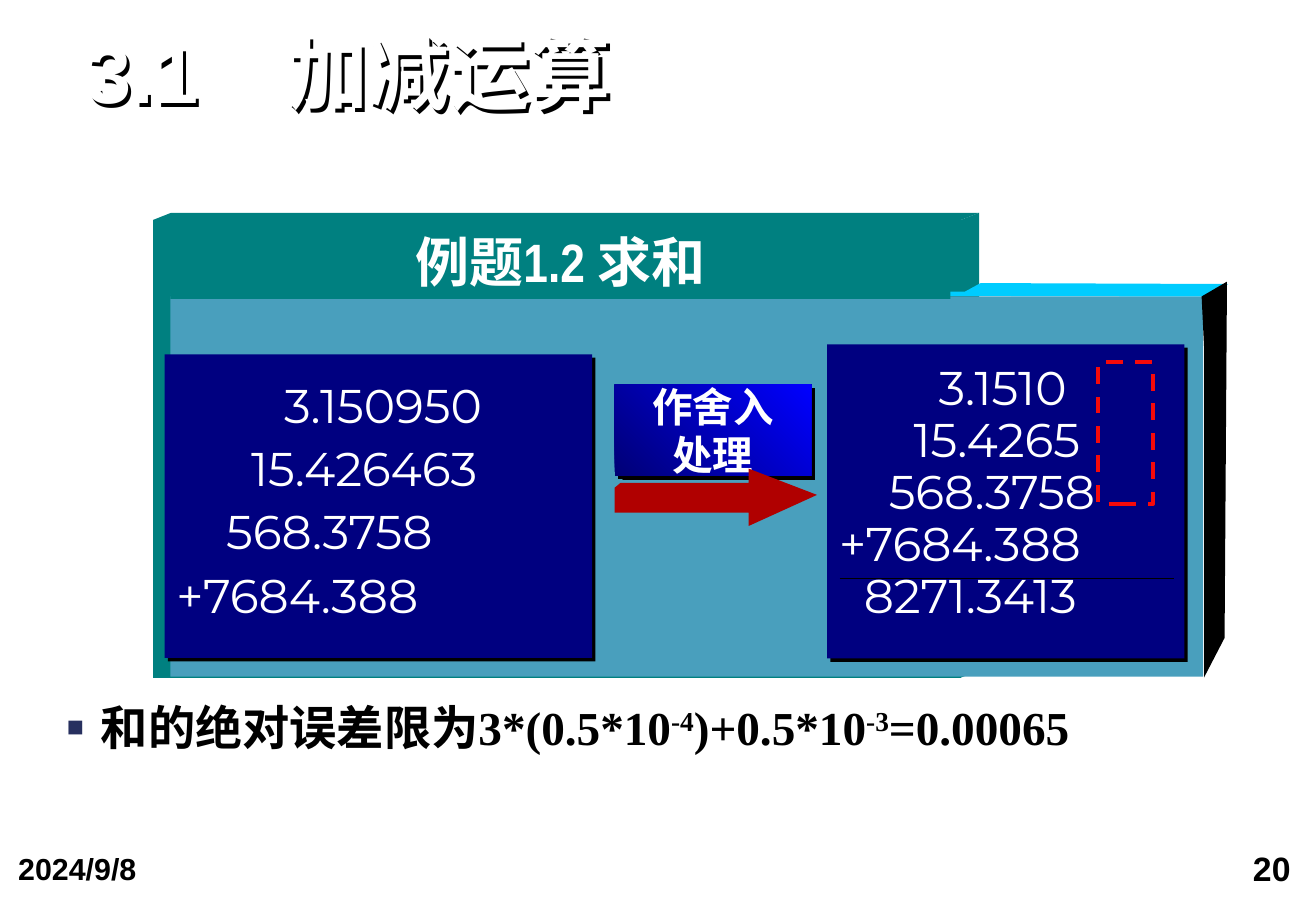
"""Build the slide on addition and rounding, with its worked sum."""
from dataclasses import dataclass

from lxml import etree
from pptx import Presentation
from pptx import util as u
from pptx.dml.color import RGBColor
from pptx.enum import dml, shapes, text
from pptx.oxml.ns import qn


@dataclass(frozen=True)
class Theme:
    """Colours, fonts and type sizes of the slide."""
    white: str = "FFFFFF"
    black: str = "000000"
    teal: str = "008080"
    blue: str = "499FBD"
    cyan: str = "00CCFF"
    navy: str = "000080"
    button_dark: str = "000076"
    button_light: str = "0000FF"
    arrow: str = "B00000"
    dash: str = "F60A0A"
    bullet: str = "27305F"
    sans: str = "Arial"
    narrow: str = "Arial Narrow"
    numeric: str = "Montserrat"
    serif: str = "Times New Roman"
    title_size: int = 48
    header_size: int = 32
    body_size: int = 28
    button_size: int = 24
    number_size: int = 20
    date_size: int = 18


def add_xml(parent, tag, **attributes):
    """Append a drawing element and return it."""
    element = etree.SubElement(parent, qn(tag))
    for name, value in attributes.items():
        element.set(name, str(value))
    return element


def add_shadow(shape):
    """Give a shape a hard black shadow to the lower right."""
    effects = add_xml(shape._element.spPr, "a:effectLst")
    shadow = add_xml(effects, "a:outerShdw", blurRad=0, dist=int(u.Pt(2.8)),
                     dir=2700000, algn="ctr", rotWithShape=0)
    add_xml(shadow, "a:srgbClr", val=Theme.black)


def write_text(shape, lines, font, size, color=Theme.black, bold=True, align="LEFT",
               anchor="TOP", insets=(0.25, 0.13), spacing=1.0, gap=0, indents=None,
               tab=None, bullet=None):
    """Write lines, each a string or a list of (text, baseline) pairs."""
    frame = shape.text_frame
    frame.word_wrap = True
    frame.auto_size = text.MSO_AUTO_SIZE.NONE
    frame.vertical_anchor = getattr(text.MSO_ANCHOR, anchor)
    frame.margin_left = frame.margin_right = u.Cm(insets[0])
    frame.margin_top = frame.margin_bottom = u.Cm(insets[1])
    for index, line in enumerate(lines):
        paragraph = frame.add_paragraph() if index else frame.paragraphs[0]
        properties = paragraph._p.get_or_add_pPr()
        if bullet:
            properties.set("marL", str(int(u.Cm(0.71))))
            properties.set("indent", str(int(u.Cm(-0.71))))
            add_xml(add_xml(properties, "a:buClr"), "a:srgbClr", val=Theme.bullet)
            add_xml(properties, "a:buSzPct", val=60000)
            add_xml(properties, "a:buFont", typeface=Theme.sans)
            add_xml(properties, "a:buChar", char=bullet)
        if indents:
            properties.set("marL", str(int(u.Cm(indents[index]))))
        if tab:
            add_xml(add_xml(properties, "a:tabLst"), "a:tab", pos=int(u.Cm(tab)), algn="l")
        paragraph.alignment = getattr(text.PP_ALIGN, align)
        paragraph.line_spacing = spacing
        paragraph.space_before = u.Pt(gap if index else 0)
        for words, baseline in [(line, 0)] if isinstance(line, str) else line:
            run = paragraph.add_run()
            run.text = words
            run.font.name = font
            run.font.size = u.Pt(size)
            run.font.bold = bold
            run.font.color.rgb = RGBColor.from_string(color)
            if baseline:
                run.font._element.set("baseline", str(baseline))


class SlideBuilder:
    """Hold the theme and the current slide."""

    def __init__(self, presentation, theme):
        """Start a slide with title and body."""
        self.theme = theme
        self.slide = presentation.slides.add_slide(presentation.slide_layouts[1])

    def placeholder(self, index, box, lines, **style):
        """Move a placeholder, fill it and return it."""
        shape = self.slide.placeholders[index]
        shape.left, shape.top, shape.width, shape.height = map(u.Cm, box)
        write_text(shape, lines, **style)
        return shape

    def label(self, box, words, **style):
        """Add a text box."""
        shape = self.slide.shapes.add_textbox(*map(u.Cm, box))
        write_text(shape, [words], self.theme.sans, insets=(0.33, 0.15), **style)

    def rectangle(self, box, fill=None, shadow=False):
        """Add a rectangle without outline."""
        shape = self.slide.shapes.add_shape(shapes.MSO_SHAPE.RECTANGLE, *map(u.Cm, box))
        shape.line.fill.background()
        if fill:
            shape.fill.solid()
            shape.fill.fore_color.rgb = RGBColor.from_string(fill)
        else:
            shape.fill.background()
        if shadow:
            add_shadow(shape)
        else:
            shape.shadow.inherit = False
        return shape

    def polygon(self, points, fill):
        """Add a closed outline through points in centimetres."""
        corners = [(u.Cm(x), u.Cm(y)) for x, y in points]
        builder = self.slide.shapes.build_freeform(*corners[0])
        builder.add_line_segments(corners[1:], close=True)
        shape = builder.convert_to_shape()
        shape.fill.solid()
        shape.fill.fore_color.rgb = RGBColor.from_string(fill)
        shape.line.fill.background()
        shape.shadow.inherit = False

    def sum_panel(self, box, numbers, indents, spacing):
        """Add a dark panel with a column of numbers."""
        panel = self.rectangle(box, self.theme.navy, shadow=True)
        write_text(panel, numbers, self.theme.numeric, self.theme.body_size,
                   self.theme.white, bold=False, anchor="MIDDLE", spacing=spacing,
                   gap=14, indents=indents)

    def button(self, box, lines):
        """Add a gradient box with centred text."""
        shape = self.rectangle(box, shadow=True)
        shape.fill.gradient()
        shape.fill.gradient_angle = 45
        colors = (self.theme.button_dark, self.theme.button_light)
        for stop, color in zip(shape.fill.gradient_stops, colors):
            stop.color.rgb = RGBColor.from_string(color)
        write_text(shape, lines, self.theme.narrow, self.theme.button_size,
                   self.theme.white, align="CENTER", anchor="MIDDLE", insets=(0, 0))

    def rule(self, left, right, y):
        """Add a thin horizontal line."""
        line = self.slide.shapes.add_connector(
            shapes.MSO_CONNECTOR.STRAIGHT, u.Cm(left), u.Cm(y), u.Cm(right), u.Cm(y))
        line.line.width = u.Pt(0.75)
        line.line.color.rgb = RGBColor.from_string(self.theme.black)
        add_xml(line._element.spPr, "a:effectLst")

    def dashed_frame(self, box):
        """Add an unfilled frame with a dashed outline."""
        shape = self.rectangle(box)
        shape.line.color.rgb = RGBColor.from_string(self.theme.dash)
        shape.line.width = u.Pt(2.5)
        shape.line.dash_style = dml.MSO_LINE.DASH


def main():
    """Compose and save the slide."""
    presentation = Presentation()
    presentation.slide_width, presentation.slide_height = u.Cm(27.51), u.Cm(19.05)
    theme = Theme()
    page = SlideBuilder(presentation, theme)
    page.label((20.35, 17.58, 6.96, 1.47), "20", size=theme.number_size, align="RIGHT")
    page.label((0.05, 17.63, 6.38, 1.4), "2024/9/8", size=theme.date_size)
    page.polygon([(3.2, 4.6), (20.09, 4.6), (20.09, 14.17), (3.2, 14.17)], theme.teal)
    page.polygon([(3.58, 4.45), (20.47, 4.45), (20.09, 4.6), (3.2, 4.6)], theme.teal)
    page.polygon([(20.09, 4.6), (20.47, 4.45), (20.47, 14.02), (20.09, 14.17)], theme.teal)
    page.rectangle((3.56, 6.2, 21.59, 7.95), theme.blue)
    page.polygon([(3.86, 6.1), (20.17, 6.1), (20.5, 5.92), (25.68, 5.94),
                  (25.17, 6.2), (3.56, 6.15)], theme.cyan)
    page.polygon([(25.12, 6.2), (25.65, 5.89), (25.6, 13.34), (25.17, 14.17),
                  (25.17, 7.24)], theme.black)
    header = page.rectangle((3.56, 4.65, 16.31, 1.6), theme.teal)
    write_text(header, ["例题1.2 求和"], theme.narrow, theme.header_size, theme.white,
               align="CENTER", anchor="MIDDLE")
    title = page.placeholder(0, (1.8, 0.71, 24.51, 1.83), ["3.1\t加减运算"],
                             font=theme.sans, size=theme.title_size, color=theme.white,
                             anchor="BOTTOM", insets=(0, 0), spacing=0.9, tab=4.2)
    title.fill.background()
    add_shadow(title)
    page.sum_panel((3.44, 7.41, 8.94, 6.35),
                   ["3.150950", "15.426463", "568.3758", "+7684.388"],
                   (2.25, 1.56, 1.04, 0), 0.7)
    page.sum_panel((17.29, 7.2, 7.47, 6.57),
                   ["3.1510", "15.4265", "568.3758", "+7684.388", "8271.3413"],
                   (2.08, 1.56, 1.04, 0, 0.52), 0.5)
    page.rule(17.55, 24.54, 12.1)
    page.button((12.85, 8.05, 4.11, 1.9), ["作舍入", "处理"])
    page.polygon([(12.85, 10.2), (12.97, 10.1), (15.65, 10.1), (15.65, 9.8),
                  (17.08, 10.35), (15.65, 11), (15.65, 10.72), (12.85, 10.72)], theme.arrow)
    page.dashed_frame((22.96, 7.57, 1.14, 2.97))
    page.placeholder(1, (1.15, 14.6, 25.68, 2.74),
                     [[("和的绝对误差限为3*(0.5*10", 0), ("-4", 30000), (")+0.5*10", 0),
                       ("-3", 30000), ("=0.00065", 0)]],
                     font=theme.serif, size=theme.body_size, spacing=0.9, bullet="■")
    presentation.save("out.pptx")


if __name__ == "__main__":
    main()
